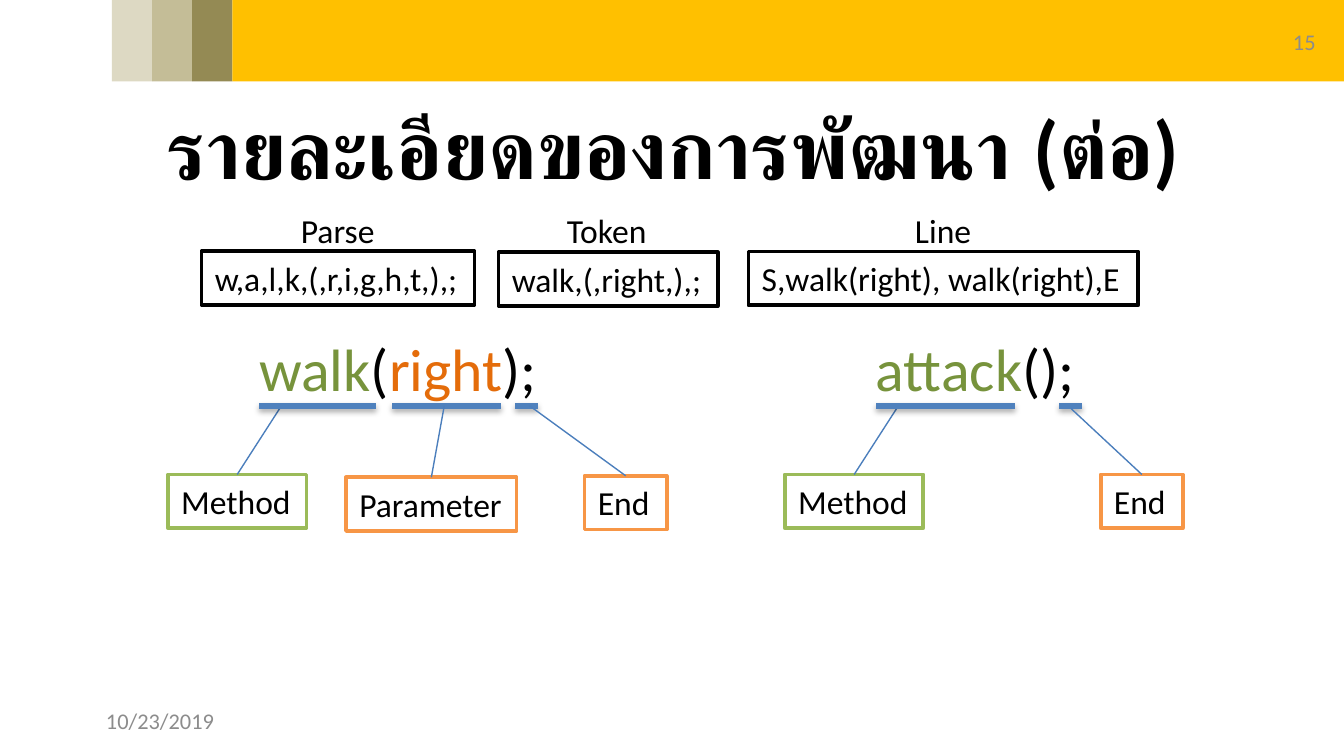
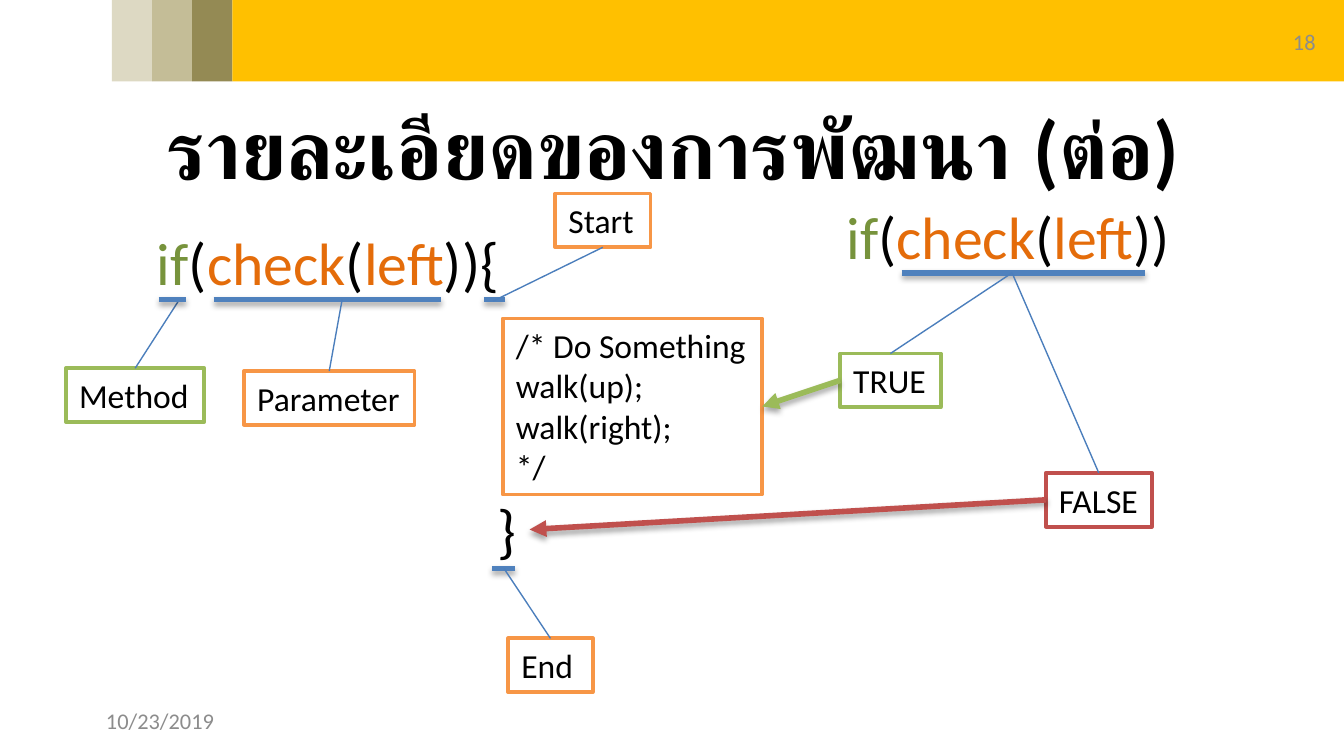
from lxml.etree import SubElement
from pptx import Presentation
from pptx.dml.color import RGBColor
from pptx.enum.shapes import MSO_CONNECTOR as Connector, MSO_SHAPE as Shape
from pptx.enum.text import MSO_ANCHOR as Anchor, MSO_AUTO_SIZE as AutoSize, PP_ALIGN as Align
from pptx.oxml.ns import qn
from pptx.util import Pt

BLACK = RGBColor(0x00, 0x00, 0x00)
WHITE = RGBColor(0xFF, 0xFF, 0xFF)
GRAY = RGBColor(0x8C, 0x8C, 0x8C)
YELLOW = RGBColor(0xFF, 0xC0, 0x00)
SWATCHES = [
    RGBColor(0xDD, 0xD9, 0xC3),
    RGBColor(0xC4, 0xBD, 0x97),
    RGBColor(0x94, 0x8A, 0x54),
]
GREEN = RGBColor(0x9B, 0xBB, 0x59)
ORANGE = RGBColor(0xF7, 0x96, 0x46)
RED = RGBColor(0xC0, 0x50, 0x4D)
BLUE = RGBColor(0x4F, 0x81, 0xBD)
LEADER_BLUE = RGBColor(0x4B, 0x7E, 0xBC)
CODE_GREEN = RGBColor(0x77, 0x93, 0x3C)
CODE_ORANGE = RGBColor(0xE4, 0x6C, 0x0A)

TITLE = "รายละเอียดของการพัฒนา (ต่อ)"
DATE = "10/23/2019"
FONT = "Calibri"
BAND_LEFT, BAND_HEIGHT, SWATCH_WIDTH = 60, 43.7, 21.5
TAG_HEIGHT = 28.8
TOP, LEFT, BOTTOM, RIGHT = range(4)


class Sketch:
    def __init__(self):
        self.deck = Presentation()
        self.deck.slide_width, self.deck.slide_height = Pt(720), Pt(405)
        self.page = None

    def start_page(self, number):
        self.page = self.deck.slides.add_slide(self.deck.slide_layouts[6])
        for index, color in enumerate(SWATCHES):
            self.rect(BAND_LEFT + index * SWATCH_WIDTH, 0, SWATCH_WIDTH, BAND_HEIGHT, color)
        band_start = BAND_LEFT + len(SWATCHES) * SWATCH_WIDTH
        self.rect(band_start, 0, 720 - band_start, BAND_HEIGHT, YELLOW)
        self.fixed_text(TITLE, 36.7, 44.6, 648, 67.7, 44, BLACK, Align.CENTER, bold=True)
        self.fixed_text(number, 677.5, 0.7, 42.5, 43.2, 12, GRAY, Align.CENTER)
        self.fixed_text(DATE, 49.7, 375.1, 162, 21.6, 12, GRAY, Align.LEFT)

    def rect(self, left, top, width, height, fill):
        box = self.page.shapes.add_shape(
            Shape.RECTANGLE, Pt(left), Pt(top), Pt(width), Pt(height))
        box.shadow.inherit = False
        box.fill.solid()
        box.fill.fore_color.rgb = fill
        box.line.fill.background()
        return box

    def text_box(self, left, top, width, height):
        return self.page.shapes.add_textbox(Pt(left), Pt(top), Pt(width), Pt(height))

    def style(self, span, size, color, bold=False):
        span.font.name = FONT
        span.font.size = Pt(size)
        span.font.bold = bold
        span.font.color.rgb = color

    def put_text(self, box, text, size, color, align=Align.LEFT, bold=False):
        box.text_frame.text = text
        for para in box.text_frame.paragraphs:
            para.alignment = align
            for span in para.runs:
                self.style(span, size, color, bold)

    def fit(self, box, wrap):
        box.text_frame.word_wrap = wrap
        box.text_frame.auto_size = AutoSize.SHAPE_TO_FIT_TEXT
        box.text_frame.vertical_anchor = Anchor.TOP

    def fixed_text(self, text, left, top, width, height, size, color, align, bold=False):
        box = self.text_box(left, top, width, height)
        box.text_frame.word_wrap = True
        box.text_frame.vertical_anchor = Anchor.MIDDLE
        self.put_text(box, text, size, color, align, bold)

    def caption(self, text, left, top, width, wrap=False):
        box = self.text_box(left, top, width, TAG_HEIGHT)
        self.fit(box, wrap)
        self.put_text(box, text, 18, BLACK)

    def code(self, left, top, width, *pieces):
        box = self.text_box(left, top, width, 46.1)
        self.fit(box, False)
        para = box.text_frame.paragraphs[0]
        for text, color in pieces:
            span = para.add_run()
            span.text = text
            self.style(span, 32, color)

    def tag(self, text, left, top, width, color, height=TAG_HEIGHT, wrap=False):
        box = self.rect(left, top, width, height, WHITE)
        box.line.color.rgb = color
        box.line.width = Pt(2)
        self.fit(box, wrap)
        self.put_text(box, text, 18, BLACK)
        return box

    def line(self, start, end, color, width, shadow=False):
        link = self.page.shapes.add_connector(
            Connector.STRAIGHT, Pt(start[0]), Pt(start[1]), Pt(end[0]), Pt(end[1]))
        link.line.color.rgb = color
        link.line.width = Pt(width)
        effects = SubElement(link._element.spPr, qn("a:effectLst"))
        if shadow:
            outer = SubElement(effects, qn("a:outerShdw"), blurRad=str(Pt(3.1)),
                               dist=str(Pt(1.8)), dir="5400000", rotWithShape="0")
            shade = SubElement(outer, qn("a:srgbClr"), val=str(BLACK))
            SubElement(shade, qn("a:alpha"), val="35000")
        return link

    def underlines(self, y, *spans):
        for start, end in spans:
            self.line((start, y), (end, y), BLUE, 3, shadow=True)

    def leader(self, box, end, side=TOP):
        link = self.line(end, end, LEADER_BLUE, 0.75)
        link.begin_connect(box, side)

    def arrow(self, box, end, color):
        link = self.line(end, end, color, 3, shadow=True)
        link.begin_connect(box, LEFT)
        SubElement(link._element.spPr.find(qn("a:ln")), qn("a:tailEnd"), type="triangle")
        return link

    def method_tag(self, left, top):
        box = self.tag("Method", left, top, 74.2, GREEN)
        self.leader(box, (left + 60.8, top - 36.8))

    def parameter_tag(self, method_left, method_top):
        box = self.tag("Parameter", method_left + 95.4, method_top + 1.5, 91.4, ORANGE)
        self.leader(box, (method_left + 148, method_top - 36.8))

    def marker_tag(self, text, left, top, width, end, side=TOP):
        box = self.tag(text, left, top, width, ORANGE, wrap=True)
        self.leader(box, end, side)


def build_calls(sketch):
    sketch.start_page("15")
    line_y, tag_top = 217.4, 254.2
    sketch.code(462.2, 174.2, 123.1, ("attack", CODE_GREEN), ("();", BLACK))
    sketch.method_tag(420.5, tag_top)
    sketch.underlines(line_y, (469.4, 543.6), (567.4, 579.6))
    sketch.marker_tag("End", 589.7, tag_top, 44, (573.8, 218.9))

    sketch.code(131.8, 174.2, 164.9, ("walk", CODE_GREEN), ("(", BLACK),
                ("right", CODE_ORANGE), (");", BLACK))
    sketch.method_tag(90, tag_top)
    sketch.underlines(line_y, (139, 201.6), (210.2, 268.6), (275.8, 288))
    sketch.parameter_tag(90, tag_top)
    sketch.marker_tag("End", 313.2, 254.9, 44, (283.7, line_y))

    sketch.tag("w,a,l,k,(,r,i,g,h,t,),;", 108, 134.6, 146.2, BLACK)
    sketch.tag("walk,(,right,),;", 267.1, 135.2, 117.4, BLACK)
    sketch.tag("S,walk(right), walk(right),E", 401, 134.8, 208.8, BLACK)
    sketch.caption("Parse", 154.1, 108.7, 54)
    sketch.caption("Token", 296.6, 108.7, 57.6)
    sketch.caption("Line", 483.1, 108.7, 45.4, wrap=True)


def build_condition(sketch):
    sketch.start_page("18")
    condition = [("if", CODE_GREEN), ("(", BLACK), ("check", CODE_ORANGE),
                 ("(", BLACK), ("left", CODE_ORANGE)]
    sketch.code(77, 117.4, 200.2, *condition, (")){", BLACK))
    sketch.method_tag(35.3, 197.3)
    sketch.underlines(160.5, (85, 99.4), (114.5, 236.2), (259.2, 270.7))
    sketch.parameter_tag(35.3, 197.3)
    sketch.marker_tag("Start", 297.4, 103.7, 51.1, (264.2, 161.3), BOTTOM)

    sketch.code(259.2, 260.6, 24.5, ("}", BLACK))
    sketch.underlines(304.6, (263.5, 275.8))
    sketch.marker_tag("End", 272.2, 342, 45.4, (270, 304.6))
    body = sketch.tag("/* Do Something\nwalk(up);\nwalk(right);\n*/",
                      269.3, 170.6, 139, ORANGE, height=94.3)

    sketch.code(446.4, 103.7, 190.1, *condition, ("))", BLACK))
    sketch.underlines(146.2, (483.1, 613.4))
    true_tag = sketch.tag("TRUE", 450, 189.4, 54, GREEN)
    false_tag = sketch.tag("FALSE", 560.2, 253.4, 56.9, RED)
    for box in (true_tag, false_tag):
        sketch.leader(box, (542.2, 146.2))
    sketch.arrow(true_tag, (408.3, 217.8), GREEN).end_connect(body, RIGHT)
    sketch.arrow(false_tag, (283.7, 283.7), RED)


def main():
    sketch = Sketch()
    build_calls(sketch)
    build_condition(sketch)
    sketch.deck.save("out.pptx")


if __name__ == "__main__":
    main()
